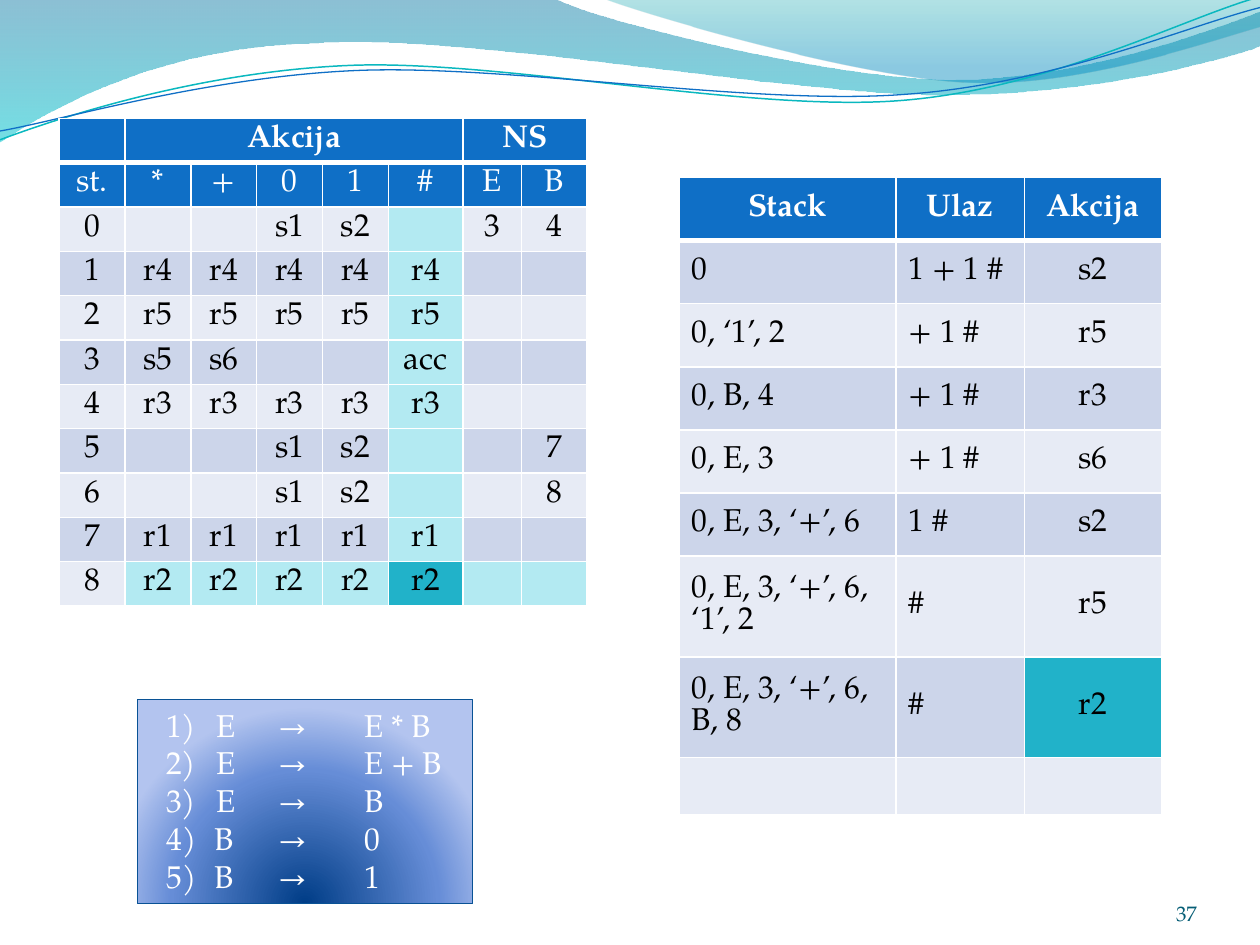
from lxml.etree import SubElement
from pptx import Presentation
from pptx.dml.color import RGBColor
from pptx.enum.shapes import MSO_SHAPE
from pptx.enum.text import MSO_ANCHOR, PP_ALIGN
from pptx.oxml.ns import qn
from pptx.util import Inches, Pt

WIDTH, HEIGHT = 10, 7.5
FONT = "TeX Gyre Pagella"
BLUE, WHITE, BLACK = "0F6FC6", "FFFFFF", "000000"
LIGHT, DARK, TRACE, HIT = "E7EBF5", "CCD5EA", "B3EAF2", "21B2C9"

PARSER_ROWS = [
    ["", "Akcija", "", "", "", "", "NS", ""],
    ["st.", "*", "+", "0", "1", "#", "E", "B"],
    ["0", "", "", "s1", "s2", "", "3", "4"],
    ["1"] + ["r4"] * 5 + ["", ""],
    ["2"] + ["r5"] * 5 + ["", ""],
    ["3", "s5", "s6", "", "", "acc", "", ""],
    ["4"] + ["r3"] * 5 + ["", ""],
    ["5", "", "", "s1", "s2", "", "", "7"],
    ["6", "", "", "s1", "s2", "", "", "8"],
    ["7"] + ["r1"] * 5 + ["", ""],
    ["8"] + ["r2"] * 5 + ["", ""],
]
STACK_ROWS = [
    ["Stack", "Ulaz", "Akcija"],
    ["0", "1 + 1 #", "s2"],
    ["0, ‘1’, 2", "+ 1 #", "r5"],
    ["0, B, 4", "+ 1 #", "r3"],
    ["0, E, 3", "+ 1 #", "s6"],
    ["0, E, 3, ‘+’, 6", "1 #", "s2"],
    ["0, E, 3, ‘+’, 6, ‘1’, 2", "#", "r5"],
    ["0, E, 3, ‘+’, 6, B, 8", "#", "r2"],
    ["", "", ""],
]
TYPED_RULES = [("1)", "E", "→", "E * B"), ("2)", "E", "→", "E + B"), ("3)", "E", "→", "B")]
NUMBERED_RULES = [("B", "→", "0"), ("B", "→", "1")]
RULE_TABS = [0.4, 0.89, 1.57]

BANDS = [
    ([(0, 0), (4.4, -0.01), (4.76, 0.17, 6.64, 0.63, 7.58, 0.63),
      (8.53, 0.63, 9.58, 0.26, 10, 0.09), (10.01, 0.36),
      (9.83, 0.44, 8.7, 0.76, 7.46, 0.75), (6.22, 0.75, 3.82, 0.28, 2.57, 0.34),
      (1.29, 0.36, 0.46, 0.83, -0.01, 1.13)],
     [(0, "0074A1", 45), (100, "00C6CF", 55)]),
    ([(4.79, -0.01), (5.09, 0.11, 6.82, 0.62, 7.69, 0.65),
      (8.56, 0.69, 9.61, 0.32, 10, 0.21), (10, 0)],
     [(0, "00A1A9", 30), (80, "008BBF", 45)]),
]
WAVES = [
    ([(0, 1.11), (0.48, 0.93, 1.58, 0.57, 2.77, 0.52), (3.95, 0.47, 5.93, 0.89, 7.13, 0.8),
      (8.33, 0.71, 9.38, 0.15, 9.98, -0.02)], "0AB8BF", 0.85),
    ([(0, 1.04), (0.47, 0.96, 1.64, 0.61, 2.83, 0.56), (4.03, 0.51, 5.97, 0.84, 7.17, 0.75),
      (8.36, 0.67, 9.41, 0.21, 10, 0.06)], BLUE, 0.75),
]


def color(value):
    return RGBColor.from_string(value)


def add_color(parent, value, opacity=100):
    element = SubElement(parent, qn("a:srgbClr"), val=value)
    if opacity < 100:
        SubElement(element, qn("a:alpha"), val=str(opacity * 1000))


def write(paragraph, text, size=18, ink=WHITE, bold=False, align=None):
    paragraph.alignment = align
    for index, line in enumerate(text.splitlines()):
        if index:
            paragraph.add_line_break()
        run = paragraph.add_run()
        run.text = line
        run.font.name, run.font.size, run.font.bold = FONT, Pt(size), bold
        run.font.color.rgb = color(ink)
    if not text:
        SubElement(paragraph._p, qn("a:endParaRPr"), sz="1000")


def fill_gradient(shape, stops, center=None):
    shape.fill.gradient()
    gradient = shape._element.spPr.find(qn("a:gradFill"))
    for child in list(gradient):
        gradient.remove(child)
    stop_list = SubElement(gradient, qn("a:gsLst"))
    for position, value, opacity in stops:
        add_color(SubElement(stop_list, qn("a:gs"), pos=str(position * 1000)), value, opacity)
    if center:
        radial = SubElement(gradient, qn("a:path"), path="circle")
        SubElement(radial, qn("a:fillToRect"),
                   **{side: str(share * 1000) for side, share in zip("ltrb", center)})
    else:
        SubElement(gradient, qn("a:lin"), ang="5400000", scaled="0")


def add_outline(slide, segments, closed):
    first, *ends = [(Inches(segment[-2]), Inches(segment[-1])) for segment in segments]
    builder = slide.shapes.build_freeform(*first)
    builder.add_line_segments(ends, close=closed)
    shape = builder.convert_to_shape()
    shape.shadow.inherit = False
    outline = next(shape._element.iter(qn("a:path")))
    for segment, element in zip(segments[1:], list(outline)[1:]):
        if len(segment) == 2:
            continue
        curve = SubElement(outline, qn("a:cubicBezTo"))
        for x, y in zip(segment[::2], segment[1::2]):
            SubElement(curve, qn("a:pt"), x=str(Inches(x) - shape.left),
                       y=str(Inches(y) - shape.top))
        outline.replace(element, curve)
    return shape


def add_border(cell, header):
    properties = cell._tc.get_or_add_tcPr()
    for side in "LRTB":
        points = 3 if header and side == "B" else 1
        line = SubElement(properties, qn(f"a:ln{side}"), w=str(Pt(points)))
        add_color(SubElement(line, qn("a:solidFill")), WHITE)


def add_grid(slide, rows, left, top, width, shares, heights, margin, style):
    frame = slide.shapes.add_table(len(rows), len(shares), Inches(left), Inches(top),
                                   Inches(width), Inches(sum(heights)))
    table = frame.table
    table.first_row = table.horz_banding = False
    for column, share in zip(table.columns, shares):
        column.width = Inches(width * share / sum(shares))
    for r, (row, height) in enumerate(zip(rows, heights)):
        table.rows[r].height = Inches(height)
        for c, text in enumerate(row):
            cell = table.cell(r, c)
            fill, ink, align = style(r, c)
            add_border(cell, r == 0)
            cell.fill.solid()
            cell.fill.fore_color.rgb = color(fill)
            cell.vertical_anchor = MSO_ANCHOR.MIDDLE
            cell.margin_top = cell.margin_bottom = Inches(margin)
            write(cell.text_frame.paragraphs[0], text, ink=ink, bold=r == 0, align=align)
    return table


def parser_style(r, c):
    if r < 2:
        return BLUE, WHITE, PP_ALIGN.CENTER
    in_row, in_column = r == 10 and c > 0, c == 5
    band = DARK if r % 2 else LIGHT
    fill = HIT if in_row and in_column else TRACE if in_row or in_column else band
    return fill, BLACK, PP_ALIGN.CENTER


def stack_style(r, c):
    align = PP_ALIGN.CENTER if r == 0 or c == 2 else PP_ALIGN.LEFT
    if r == 0:
        return BLUE, WHITE, align
    fill = HIT if (r, c) == (7, 2) else DARK if r % 2 else LIGHT
    return fill, BLACK, align


def add_rules(slide):
    box = slide.shapes.add_shape(MSO_SHAPE.RECTANGLE, Inches(1.09), Inches(5.55),
                                 Inches(2.66), Inches(1.62))
    fill_gradient(box, [(0, "003D87", 100), (68, "668DD7", 100), (100, "B3C4EF", 100)],
                  center=(50, 130, 50, -30))
    box.line.color.rgb, box.line.width = color("095295"), Pt(0.75)
    box.shadow.inherit = False
    frame = box.text_frame
    frame.word_wrap, frame.vertical_anchor = True, MSO_ANCHOR.TOP
    frame.margin_left = Inches(0.23)
    typed = "\n".join("\t".join(rule) for rule in TYPED_RULES)
    for index, text in enumerate([typed] + ["\t".join(rule) for rule in NUMBERED_RULES]):
        paragraph = frame.add_paragraph() if index else frame.paragraphs[0]
        properties = paragraph._p.get_or_add_pPr()
        if index:
            properties.set("marL", str(Inches(0.38)))
            properties.set("indent", str(Inches(-0.38)))
            SubElement(properties, qn("a:buAutoNum"), type="arabicParenR", startAt="4")
        tabs = SubElement(properties, qn("a:tabLst"))
        for position in RULE_TABS:
            SubElement(tabs, qn("a:tab"), pos=str(Inches(position)), algn="l")
        write(paragraph, text, align=PP_ALIGN.LEFT)


def main():
    presentation = Presentation()
    presentation.slide_width, presentation.slide_height = Inches(WIDTH), Inches(HEIGHT)
    slide = presentation.slides.add_slide(presentation.slide_layouts[6])
    for segments, stops in BANDS:
        band = add_outline(slide, segments, True)
        fill_gradient(band, stops)
        band.line.fill.background()
    for segments, ink, weight in WAVES:
        wave = add_outline(slide, segments, False)
        wave.fill.background()
        wave.line.color.rgb, wave.line.width = color(ink), Pt(weight)
    parser = add_grid(slide, PARSER_ROWS, 0.47, 0.94, 4.19, [0.52] * 5 + [0.59, 0.46, 0.52],
                      [0.35] * 11, 0.05, parser_style)
    parser.cell(0, 1).merge(parser.cell(0, 5))
    parser.cell(0, 6).merge(parser.cell(0, 7))
    number = slide.shapes.add_textbox(Inches(8.67), Inches(6.95), Inches(0.83), Inches(0.4))
    frame = number.text_frame
    frame.word_wrap, frame.vertical_anchor = True, MSO_ANCHOR.BOTTOM
    frame.margin_left = frame.margin_right = frame.margin_top = frame.margin_bottom = 0
    write(frame.paragraphs[0], "37", size=12, ink="045D75", align=PP_ALIGN.RIGHT)
    add_rules(slide)
    add_grid(slide, STACK_ROWS, 5.39, 1.41, 3.83, [1.72, 1.02, 1.09],
             [0.45] * 6 + [0.7] * 2 + [0.45], 0.1, stack_style)
    presentation.save("out.pptx")


if __name__ == "__main__":
    main()
